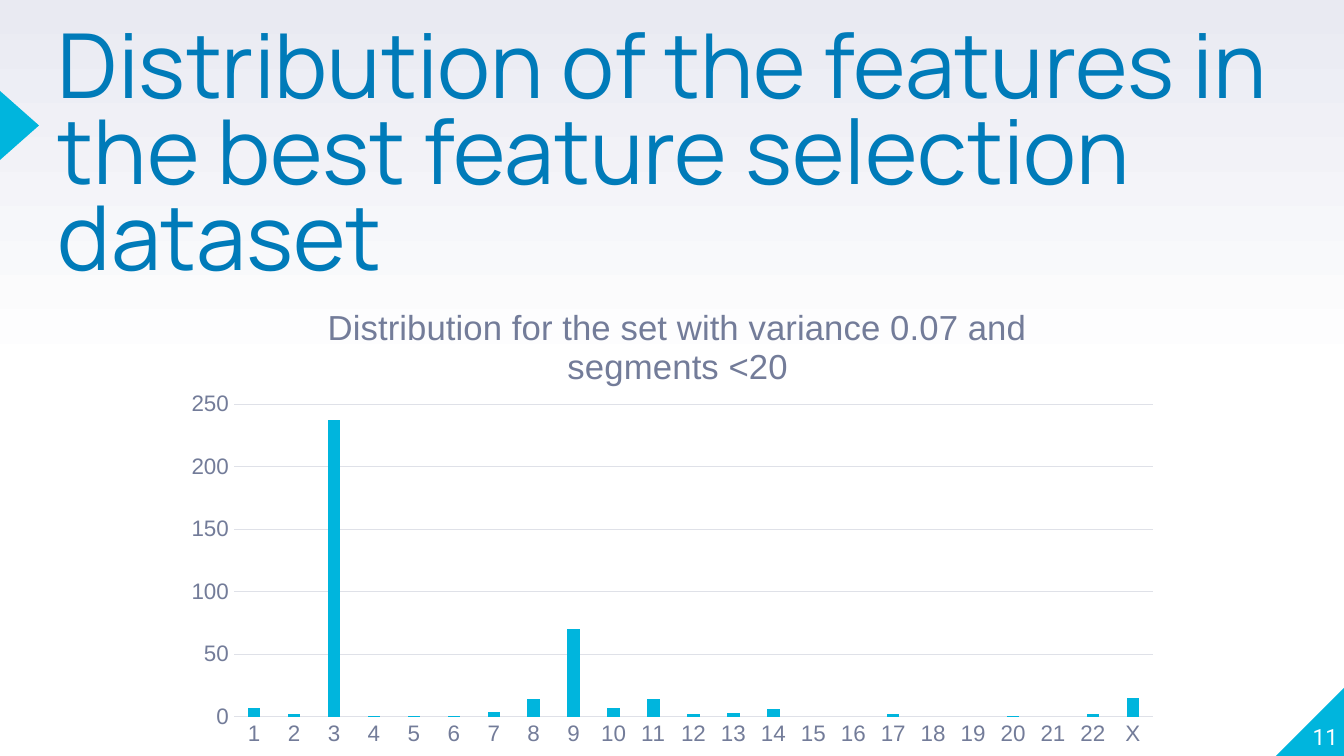
from copy import deepcopy
from dataclasses import dataclass

from lxml import etree
from pptx import Presentation
from pptx import util as u
from pptx.chart.data import CategoryChartData
from pptx.dml.color import RGBColor
from pptx.enum import chart as ch, shapes, text
from pptx.oxml import parse_xml
from pptx.oxml.ns import nsdecls, qn

PX_PER_INCH = 134.4
CYAN = RGBColor(0x00, 0xB5, 0xDD)
BLUE = RGBColor(0x00, 0x7B, 0xB9)
SLATE = RGBColor(0x73, 0x7C, 0x99)
GRID = RGBColor(0xDF, 0xE1, 0xE8)
LAVENDER = RGBColor(0xE9, 0xEA, 0xF2)
WHITE = RGBColor(0xFF, 0xFF, 0xFF)

FEATURES = [str(n) for n in range(1, 23)] + ["X"]
COUNTS = [7, 2, 237, 1, 1, 1, 4, 14, 70, 7, 14, 2, 3, 6,
          None, None, 2, None, None, 1, None, 2, 15]


def px(length: int) -> u.Emu:
    return u.Emu(round(length * 914400 / PX_PER_INCH))


@dataclass(frozen=True)
class Box:
    left: int
    top: int
    width: int
    height: int

    def emu(self) -> tuple:
        return px(self.left), px(self.top), px(self.width), px(self.height)


@dataclass(frozen=True)
class Accent:
    kind: shapes.MSO_SHAPE
    box: Box
    rotation: int


ACCENTS = [
    Accent(shapes.MSO_SHAPE.RIGHT_TRIANGLE, Box(1276, 687, 69, 69), 270),
    Accent(shapes.MSO_SHAPE.ISOSCELES_TRIANGLE, Box(-15, 106, 69, 39), 90),
]


def paint_background(slide) -> None:
    fill = slide.background.fill
    fill.gradient()
    fill.gradient_angle = 90
    for stop, color in zip(fill.gradient_stops, (WHITE, LAVENDER)):
        stop.color.rgb = color
    # White holds over the lower half
    first = slide.element.find(".//" + qn("a:gs"))
    middle = deepcopy(first)
    middle.set("pos", "50000")
    first.addnext(middle)


def add_accent(slide, accent: Accent) -> None:
    shape = slide.shapes.add_shape(accent.kind, *accent.box.emu())
    shape.rotation = accent.rotation
    shape.shadow.inherit = False
    shape.fill.solid()
    shape.fill.fore_color.rgb = CYAN
    shape.line.fill.background()


def style_font(font, size: float, family: str, color: RGBColor) -> None:
    font.size = u.Pt(size)
    font.name = family
    font.bold = False
    font.color.rgb = color


def set_text(shape, wording: str, size: int, family: str, color: RGBColor,
             align: text.PP_ALIGN, anchor: text.MSO_ANCHOR):
    frame = shape.text_frame
    frame.word_wrap = True
    frame.auto_size = text.MSO_AUTO_SIZE.NONE
    frame.vertical_anchor = anchor
    frame.margin_left = frame.margin_right = 0
    frame.margin_top = frame.margin_bottom = 0
    frame.text = wording
    paragraph = frame.paragraphs[0]
    paragraph.alignment = align
    style_font(paragraph.font, size, family, color)
    return paragraph


def manual_layout(target: str = "", **fractions: float) -> etree._Element:
    inner = f'<c:layoutTarget val="{target}"/>' if target else ""
    inner += '<c:xMode val="edge"/><c:yMode val="edge"/>'
    inner += "".join(f'<c:{k} val="{v}"/>' for k, v in fractions.items())
    return parse_xml(f'<c:layout {nsdecls("c")}><c:manualLayout>{inner}'
                     "</c:manualLayout></c:layout>")


def place(part: etree._Element, layout: etree._Element, after: str = "") -> None:
    for old in part.findall(qn("c:layout")):
        part.remove(old)
    if after:
        part.find(qn(after)).addnext(layout)
    else:
        part.insert(0, layout)


def add_distribution(slide, box: Box) -> None:
    data = CategoryChartData()
    data.categories = FEATURES
    data.add_series("Series 1", COUNTS)
    chart = slide.shapes.add_chart(
        ch.XL_CHART_TYPE.COLUMN_CLUSTERED, *box.emu(), data).chart
    chart.has_legend = False
    style_font(chart.font, 12, "Arial", SLATE)

    # Heading
    chart.has_title = True
    heading = chart.chart_title
    heading.include_in_layout = False
    heading.text_frame.text = "Distribution for the set with variance 0.07 and segments <20"
    style_font(heading.text_frame.paragraphs[0].font, 18.62, "Arial", SLATE)

    # Columns
    plot = chart.plots[0]
    plot.gap_width = 219
    plot.overlap = -27
    plot.vary_by_categories = False
    columns = plot.series[0].format.fill
    columns.solid()
    columns.fore_color.rgb = CYAN

    # Axes and gridlines
    counts, features = chart.value_axis, chart.category_axis
    for axis in (counts, features):
        axis.major_tick_mark = axis.minor_tick_mark = ch.XL_TICK_MARK.NONE
        style_font(axis.tick_labels.font, 12, "Arial", SLATE)
    counts.minimum_scale, counts.maximum_scale, counts.major_unit = 0, 250, 50
    counts.has_major_gridlines = True
    counts.format.line.fill.background()
    for line in (counts.major_gridlines.format.line, features.format.line):
        line.color.rgb = GRID
        line.width = u.Pt(0.75)

    # Positions inside the chart
    root = chart.element
    place(root.find(".//" + qn("c:title")), manual_layout(x=0.15, y=0.05), "c:tx")
    place(root.find(".//" + qn("c:plotArea")),
          manual_layout("inner", x=0.063, y=0.271, w=0.916, h=0.65))


def main() -> None:
    deck = Presentation()
    deck.slide_width, deck.slide_height = px(1344), px(756)
    slide = deck.slides.add_slide(deck.slide_layouts[5])
    paint_background(slide)

    for accent in ACCENTS:
        add_accent(slide, accent)

    # Title
    title = slide.shapes.title
    title.left, title.top, title.width, title.height = Box(58, 30, 1271, 159).emu()
    line = set_text(title, "Distribution of the features in the best feature selection dataset",
                    48, "Manrope", BLUE, text.PP_ALIGN.LEFT, text.MSO_ANCHOR.TOP)
    line.line_spacing = 0.8

    # Page number
    page = slide.shapes.add_textbox(*Box(1271, 681, 67, 69).emu())
    set_text(page, "11", 12, "Roboto", WHITE, text.PP_ALIGN.RIGHT, text.MSO_ANCHOR.BOTTOM)

    add_distribution(slide, Box(171, 274, 1003, 481))
    deck.save("out.pptx")


if __name__ == "__main__":
    main()
